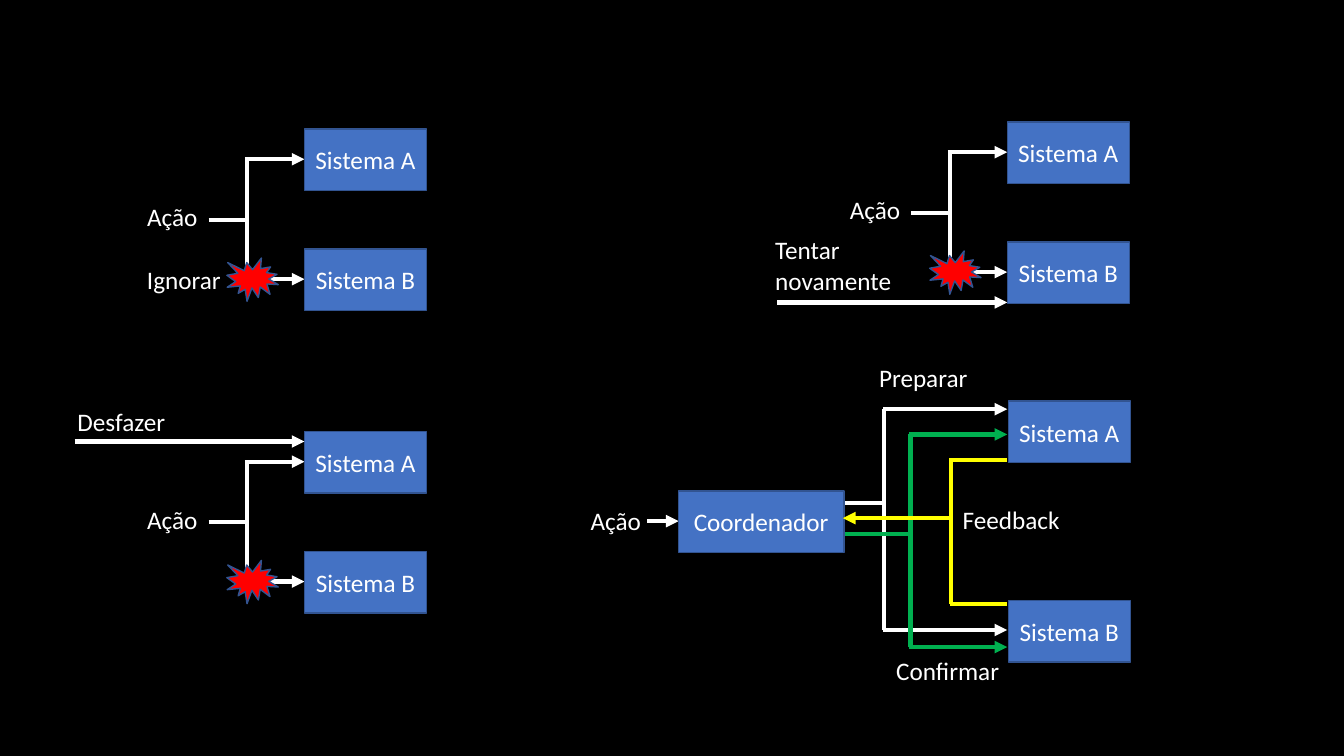
from lxml.etree import SubElement as Sub
from pptx import Presentation
from pptx.dml.color import RGBColor
from pptx.enum.shapes import MSO_CONNECTOR as Conn, MSO_SHAPE as Kind
from pptx.enum.text import MSO_ANCHOR as Anchor, MSO_AUTO_SIZE as Auto, PP_ALIGN as Align
from pptx.oxml.ns import qn
from pptx.util import Inches, Pt

WHITE, GREEN, YELLOW = "FFFFFF", "00B050", "FFFF00"
BLUE, EDGE, RED, BLACK = "4472C4", "325491", "FF0000", "000000"


def color(code):
    return RGBColor.from_string(code)


class Board:
    font = {"name": "Calibri", "size": Pt(18)}
    box_w, box_h = 1.21, 0.61

    def __init__(self, slide):
        self.slide = slide
        self.group = None
        back = slide.background.fill
        back.solid()
        back.fore_color.rgb = color(BLACK)

    def start(self):
        """Open a new group for the parts that follow."""
        self.group = self.slide.shapes.add_group_shape().shapes

    def text(self, frame, words, align):
        para = frame.paragraphs[0]
        para.alignment = align
        run = para.add_run()
        run.text = words
        for key, value in self.font.items():
            setattr(run.font, key, value)
        run.font.color.rgb = color(WHITE)

    def label(self, words, x, y, w, h=0.4, wrap=False):
        frame = self.group.add_textbox(*map(Inches, (x, y, w, h))).text_frame
        frame.word_wrap = wrap
        frame.auto_size = Auto.SHAPE_TO_FIT_TEXT
        self.text(frame, words, Align.LEFT)

    def shape(self, kind, x, y, w, h, fill):
        item = self.group.add_shape(kind, *map(Inches, (x, y, w, h)))
        item.shadow.inherit = False
        item.fill.solid()
        item.fill.fore_color.rgb = color(fill)
        item.line.color.rgb = color(EDGE)
        item.line.width = Pt(1)
        return item

    def box(self, words, x, y, w=box_w):
        frame = self.shape(Kind.RECTANGLE, x, y, w, self.box_h, BLUE).text_frame
        frame.vertical_anchor = Anchor.MIDDLE
        frame.word_wrap = True
        self.text(frame, words, Align.CENTER)

    def burst(self, x, y):
        self.shape(Kind.EXPLOSION1, x, y, 0.51, 0.43, RED)

    def line(self, x1, y1, x2, y2, tint=WHITE, arrow=False):
        item = self.group.add_connector(Conn.STRAIGHT, *map(Inches, (x1, y1, x2, y2)))
        item.line.color.rgb = color(tint)
        item.line.width = Pt(3)
        props = item.element.spPr
        if arrow:
            Sub(props.find(qn("a:ln")), qn("a:tailEnd"), type="triangle")
        Sub(props, qn("a:effectLst"))

    def arrow(self, x1, y1, x2, y2, tint=WHITE):
        self.line(x1, y1, x2, y2, tint, arrow=True)

    def fork(self, x, y):
        """One action sent to two systems, failing at the second."""
        self.start()
        self.label("Ação", x - 1.66, y + 0.67, 0.71)
        self.line(x - 0.95, y + 0.9, x - 0.59, y + 0.9)
        self.line(x - 0.57, y + 1.49, x - 0.57, y + 0.3)
        for name, top in (("A", y), ("B", y + 1.19)):
            self.arrow(x - 0.59, top + 0.3, x, top + 0.3)
            self.box(f"Sistema {name}", x, top)
        self.burst(x - 0.77, y + 1.28)


def main():
    deck = Presentation()
    deck.slide_width, deck.slide_height = Inches(13.33), Inches(7.5)
    board = Board(deck.slides.add_slide(deck.slide_layouts[6]))

    # Ignore the failure
    board.fork(3.02, 1.28)
    board.label("Ignorar", 1.36, 2.57, 0.94)

    # Try again
    board.fork(9.99, 1.21)
    board.arrow(7.71, 3, 9.99, 3)
    board.label("Tentar novamente", 7.59, 2.28, 1.43, 0.71, wrap=True)

    # Undo
    board.fork(3.02, 4.28)
    board.arrow(0.74, 4.38, 3.02, 4.38)
    board.label("Desfazer", 0.67, 3.98, 1.13, wrap=True)

    # Coordinator and its two systems
    board.start()
    board.label("Ação", 5.76, 4.96, 0.71)
    board.arrow(6.42, 5.17, 6.73, 5.17)
    board.box("Sistema A", 10, 3.98)
    board.box("Sistema B", 10, 5.96)

    # Prepare and confirm: stem, trunk and two arrows
    for tint, stem, trunk, top, low in (
        (WHITE, 4.99, 8.77, 4.06, 6.25),
        (GREEN, 5.3, 9.03, 4.31, 6.42),
    ):
        board.line(8.35, stem, trunk, stem, tint)
        board.line(trunk, low, trunk, top, tint)
        for y in (top, low):
            board.arrow(trunk - 0.01, y, 9.99, y, tint)
    board.box("Coordenador", 6.73, 4.87, 1.64)

    # Feedback back to the coordinator
    board.arrow(9.43, 5.14, 8.36, 5.14, YELLOW)
    board.line(9.43, 5.99, 9.43, 4.54, YELLOW)
    for y in (4.56, 5.99):
        board.line(9.42, y, 9.99, y, YELLOW)

    for words, x, y, w in (
        ("Preparar", 8.62, 3.55, 1.09),
        ("Confirmar", 8.79, 6.45, 1.23),
        ("Feedback", 9.45, 4.95, 1.17),
    ):
        board.label(words, x, y, w)

    deck.save("out.pptx")


if __name__ == "__main__":
    main()
